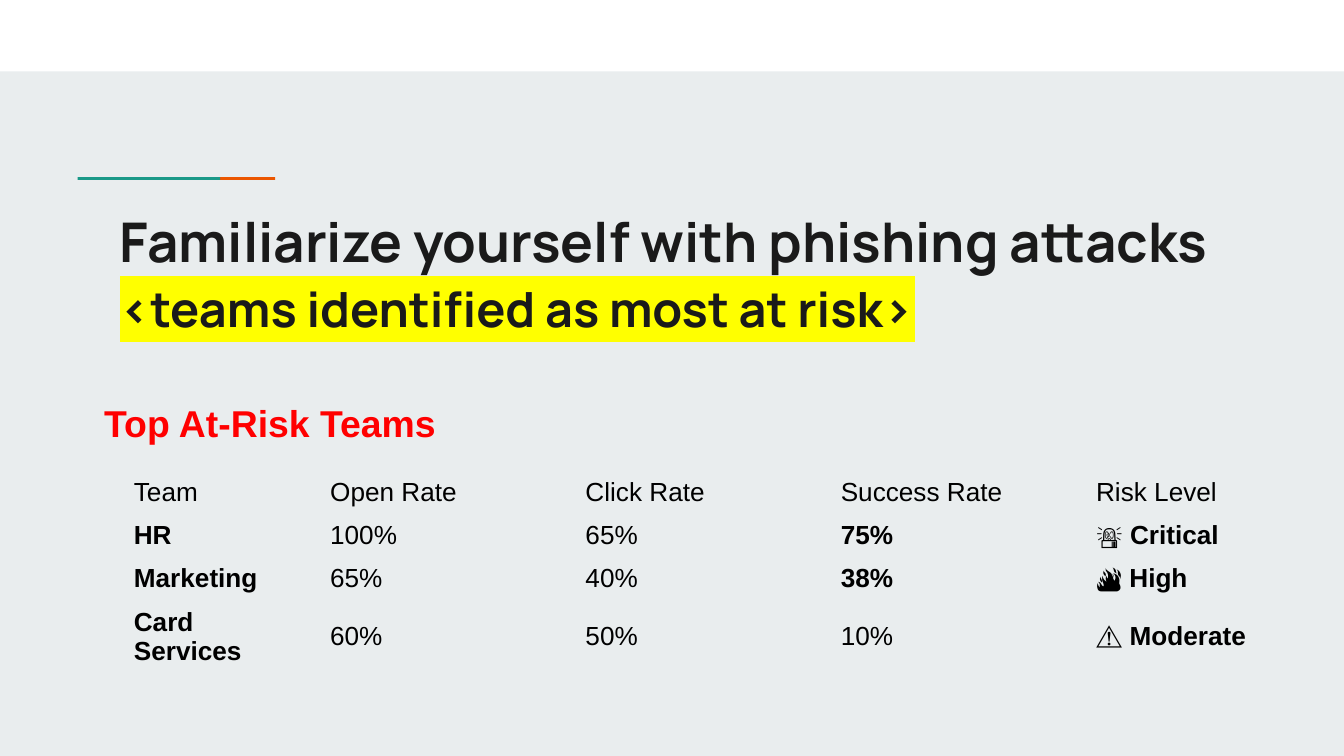
from pptx import Presentation
from pptx.dml.color import RGBColor as RGB
from pptx.enum.shapes import MSO_SHAPE as Shape
from pptx.enum.text import MSO_ANCHOR as Anchor, MSO_AUTO_SIZE as Auto
from pptx.oxml import parse_xml
from pptx.oxml.ns import qn, nsdecls
from pptx.util import Cm, Pt

PALE = RGB(0xE9, 0xED, 0xEE)
WHITE = RGB(0xFF, 0xFF, 0xFF)
ORANGE = RGB(0xEB, 0x56, 0x00)
TEAL = RGB(0x1A, 0x99, 0x88)
INK = RGB(0x1A, 0x1A, 0x1A)
BLACK = RGB(0, 0, 0)
RED = RGB(0xFF, 0, 0)
PLAIN = "{2D5ABB26-0587-4C30-8999-92F81FD0307C}"

TEAMS = [
    ("Team", "Open Rate", "Click Rate", "Success Rate", "Risk Level"),
    ("HR", "100%", "65%", "75%", "🚨 Critical"),
    ("Marketing", "65%", "40%", "38%", "🔥 High"),
    ("Card Services", "60%", "50%", "10%", "⚠️ Moderate"),
]
STRONG = {"75%", "38%"}


def write(para, text, size=14, font="Arial", color=BLACK, bold=False, mark=None):
    run = para.add_run()
    run.text = text
    run.font.size = Pt(size)
    run.font.name = font
    run.font.bold = bold
    run.font.color.rgb = color
    if mark:
        glow = parse_xml(f'<a:highlight {nsdecls("a")}><a:srgbClr val="{mark}"/></a:highlight>')
        run.font._element.find(qn("a:solidFill")).addnext(glow)


def bar(slide, box, color):
    rect = slide.shapes.add_shape(Shape.RECTANGLE, *map(Cm, box))
    rect.shadow.inherit = False
    rect.fill.solid()
    rect.fill.fore_color.rgb = color
    rect.line.fill.background()


def accent(slide, box):
    left, top, width, height = box
    part = 2.69
    bar(slide, (left + width - part, top, part, height), ORANGE)
    bar(slide, (left, top, part, height), TEAL)


def frame(slide, box, inset):
    text = slide.shapes.add_textbox(*map(Cm, box)).text_frame
    text.word_wrap = True
    text.margin_left = text.margin_right = Cm(0.25)
    text.margin_top = text.margin_bottom = Cm(inset)
    return text


def title(slide, box):
    text = frame(slide, box, 0.25)
    text.vertical_anchor = Anchor.TOP
    look = {"font": "Manrope", "color": INK, "bold": True}
    head, sub = text.paragraphs[0], text.add_paragraph()
    sub.space_before = Pt(3)
    write(head, "Familiarize yourself with phishing attacks", size=29.3, **look)
    write(sub, "<teams identified as most at risk>", size=26, mark="FFFF00", **look)


def label(slide, box):
    text = frame(slide, box, 0.13)
    text.auto_size = Auto.SHAPE_TO_FIT_TEXT
    write(text.paragraphs[0], "Top At-Risk Teams", size=20, color=RED, bold=True)


def fill(cell, text, row, col):
    cell.fill.background()
    cell.vertical_anchor = Anchor.MIDDLE
    cell.margin_left = cell.margin_right = Cm(0.25)
    cell.margin_top = cell.margin_bottom = Cm(0.1)
    para = cell.text_frame.paragraphs[0]
    if row and col == 4:
        icon, level = text.split(" ")
        write(para, icon + " ")
        write(para, level, bold=True)
    else:
        write(para, text, bold=row > 0 and (col == 0 or text in STRONG))


def risks(slide, box):
    table = slide.shapes.add_table(len(TEAMS), len(TEAMS[0]), *map(Cm, box)).table
    table.first_row = table.horz_banding = False
    table._tbl.tblPr.find(qn("a:tableStyleId")).text = PLAIN
    first = 3.71
    rest = (box[2] - first) / 4
    for col, column in enumerate(table.columns):
        column.width = Cm(rest if col else first)
    for row, line in enumerate(TEAMS):
        table.rows[row].height = Cm(1.36 if row == 3 else 0.81)
        for col, text in enumerate(line):
            fill(table.cell(row, col), text, row, col)


def main():
    deck = Presentation()
    deck.slide_width, deck.slide_height = Cm(25.4), Cm(14.29)
    slide = deck.slides.add_slide(deck.slide_layouts[6])
    slide.background.fill.solid()
    slide.background.fill.fore_color.rgb = PALE
    bar(slide, (0, 0, 25.4, 1.35), WHITE)
    accent(slide, (1.47, 3.35, 3.73, 0.05))
    title(slide, (2.01, 3.68, 22.3, 4.62))
    risks(slide, (2.28, 8.91, 23.01, 3.79))
    label(slide, (1.72, 7.44, 12.98, 1.7))
    deck.save("out.pptx")


if __name__ == "__main__":
    main()
